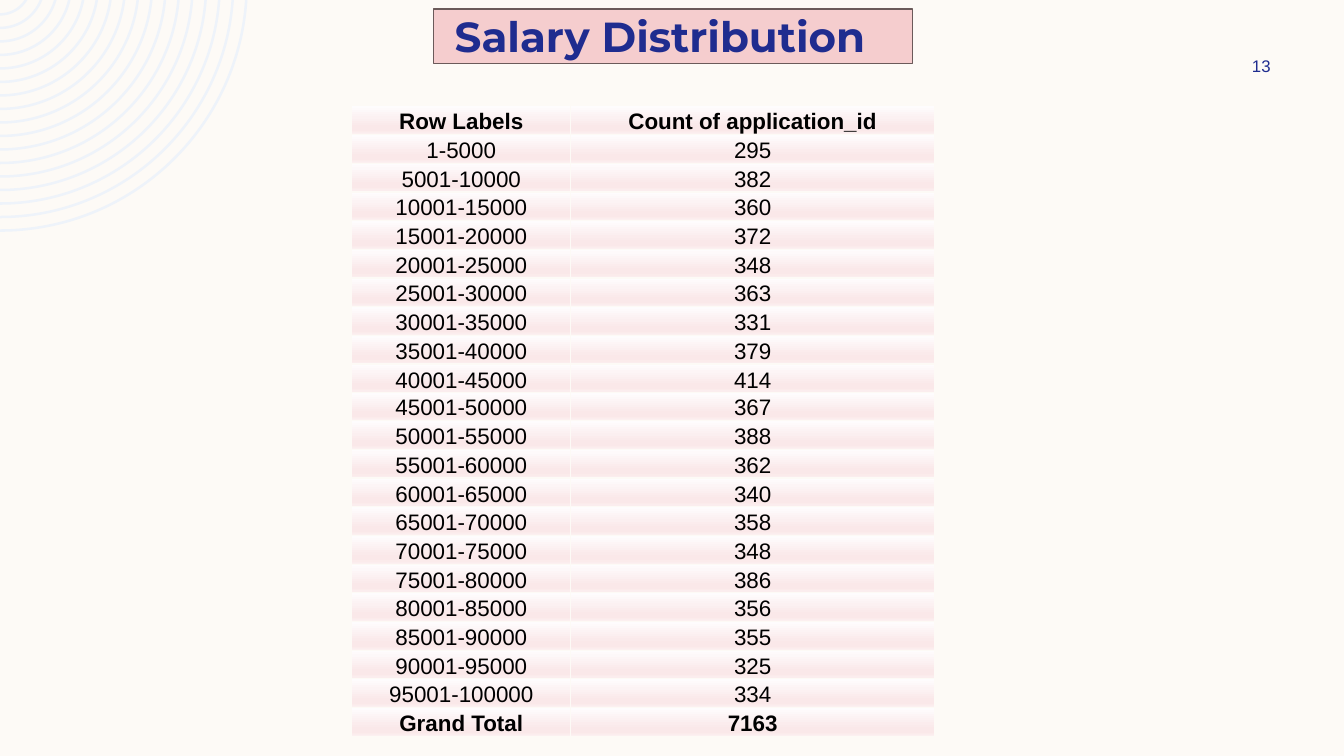
from math import asin, cos, pi, sin, tan

from pptx import Presentation
from pptx.dml.color import RGBColor
from pptx.enum.shapes import MSO_SHAPE
from pptx.enum.text import MSO_ANCHOR, MSO_AUTO_SIZE, PP_ALIGN
from pptx.oxml import parse_xml
from pptx.oxml.ns import nsdecls, qn
from pptx.util import Inches, Pt

RECTANGLE = MSO_SHAPE.RECTANGLE
MIDDLE, BOTTOM = MSO_ANCHOR.MIDDLE, MSO_ANCHOR.BOTTOM
NO_FIT = MSO_AUTO_SIZE.NONE
LEFT, CENTER = PP_ALIGN.LEFT, PP_ALIGN.CENTER

CREAM = RGBColor(0xFD, 0xFA, 0xF6)
PALE_BLUE = RGBColor(0xEE, 0xF3, 0xFA)
NAVY = RGBColor(0x1F, 0x2C, 0x8F)
PINK = RGBColor(0xF5, 0xCD, 0xCE)
BROWN = RGBColor(0x6B, 0x5A, 0x5A)
BLACK = RGBColor(0, 0, 0)
CELL_STOPS = [
    (0, RGBColor(0xFE, 0xFC, 0xFD)),
    (74, RGBColor(0xFA, 0xE8, 0xE9)),
    (83, RGBColor(0xFA, 0xE8, 0xE9)),
    (100, RGBColor(0xFC, 0xF0, 0xF0)),
]

BAND = 5000
COUNTS = [295, 382, 360, 372, 348, 363, 331, 379, 414, 367,
          388, 362, 340, 358, 348, 386, 356, 355, 325, 334]
SHORT_ROW = 10
SHORT_HEIGHT = 0.23


def write(tf, text, size=16, font="Arial", color=BLACK, bold=False,
          align=CENTER, anchor=MIDDLE):
    tf.vertical_anchor = anchor
    p = tf.paragraphs[0]
    p.alignment = align
    r = p.add_run()
    r.text = text
    r.font.size = Pt(size)
    r.font.name = font
    r.font.bold = bold
    r.font.color.rgb = color


def curve_sides(sp):
    lines = list(sp.element.iter(qn("a:lnTo")))
    for i in range(0, len(lines), 7):
        for side in (lines[i:i + 3], lines[i + 4:i + 7]):
            curve = parse_xml(f'<a:cubicBezTo {nsdecls("a")}/>')
            side[0].addprevious(curve)
            for line in side:
                curve.append(line[0])
                line.getparent().remove(line)


def add_rings(s, left, top, radius, rings=17, step=0.134, band=0.025, rise=0.16):
    def arc(r):
        a = asin(rise / r)
        k = 4 / 3 * tan((pi / 2 - a) / 4)
        points = [(cos(a), sin(a)), (cos(a) - k * sin(a), sin(a) + k * cos(a)),
                  (k, 1), (0, 1)]
        return [(Inches(left + r * x), Inches(top - rise + r * y)) for x, y in points]

    builder = None
    for i in range(rings):
        outer = radius - i * step
        points = arc(outer) + arc(outer - band)[::-1]
        if builder is None:
            builder = s.shapes.build_freeform(*points[0])
        else:
            builder.move_to(*points[0])
        builder.add_line_segments(points[1:], close=True)
    sp = builder.convert_to_shape()
    curve_sides(sp)
    sp.shadow.inherit = False
    sp.fill.solid()
    sp.fill.fore_color.rgb = PALE_BLUE
    sp.line.fill.background()


def add_title(s, left, top, width, height):
    sp = s.shapes.add_shape(RECTANGLE, Inches(left), Inches(top),
                            Inches(width), Inches(height))
    sp.shadow.inherit = False
    sp.fill.solid()
    sp.fill.fore_color.rgb = PINK
    sp.line.color.rgb = BROWN
    sp.line.width = Pt(1)

    title = s.shapes.title
    title.left, title.top = Inches(left + 0.11), Inches(top + 0.14)
    title.width, title.height = Inches(width + 0.24), Inches(0.24)
    title.element.getparent().append(title.element)
    tf = title.text_frame
    tf.word_wrap = True
    tf.auto_size = NO_FIT
    write(tf, "Salary Distribution", size=30, font="Montserrat", color=NAVY,
          bold=True, align=LEFT)


def add_page_number(s, left, top, width, height):
    tb = s.shapes.add_textbox(Inches(left), Inches(top), Inches(width), Inches(height))
    tb.text_frame.word_wrap = True
    write(tb.text_frame, "13", size=12, color=NAVY)


def style_cell(cell):
    cell.margin_left = cell.margin_right = cell.margin_top = Inches(0.01)
    cell.margin_bottom = 0
    tcPr = cell._tc.get_or_add_tcPr()
    for side in "LRTB":
        tcPr.append(parse_xml(
            f'<a:ln{side} {nsdecls("a")} w="{Pt(1)}"><a:solidFill>'
            f'<a:srgbClr val="{CREAM}"/></a:solidFill></a:ln{side}>'))
    stops = "".join(f'<a:gs pos="{pos * 1000}"><a:srgbClr val="{color}"/></a:gs>'
                    for pos, color in CELL_STOPS)
    tcPr.append(parse_xml(
        f'<a:gradFill {nsdecls("a")} rotWithShape="1"><a:gsLst>{stops}</a:gsLst>'
        '<a:lin ang="5400000" scaled="0"/></a:gradFill>'))


def add_salary_table(s, left, top, width, height):
    rows = [("Row Labels", "Count of application_id")]
    rows += [(f"{i * BAND + 1}-{(i + 1) * BAND}", str(n)) for i, n in enumerate(COUNTS)]
    rows.append(("Grand Total", str(sum(COUNTS))))

    frame = s.shapes.add_table(len(rows), 2, Inches(left), Inches(top),
                               Inches(width), Inches(height))
    table = frame.table
    table.first_row = table.horz_banding = False
    label_width = 2.17
    table.columns[0].width = Inches(label_width)
    table.columns[1].width = Inches(width - label_width)
    row_height = (height - SHORT_HEIGHT) / (len(rows) - 1)
    for i, values in enumerate(rows):
        table.rows[i].height = Inches(SHORT_HEIGHT if i == SHORT_ROW else row_height)
        for j, value in enumerate(values):
            cell = table.cell(i, j)
            style_cell(cell)
            write(cell.text_frame, value, bold=i in (0, len(rows) - 1))
            cell.vertical_anchor = BOTTOM


def main():
    prs = Presentation()
    prs.slide_width, prs.slide_height = Inches(13.33), Inches(7.5)
    s = prs.slides.add_slide(prs.slide_layouts[5])
    s.background.fill.solid()
    s.background.fill.fore_color.rgb = CREAM
    add_rings(s, 0, 0, 2.46)
    add_title(s, 4.3, 0.09, 4.75, 0.54)
    add_page_number(s, 11.97, 0.5, 1.08, 0.3)
    add_salary_table(s, 3.49, 1.05, 5.78, 6.21)
    prs.save("out.pptx")


if __name__ == "__main__":
    main()
